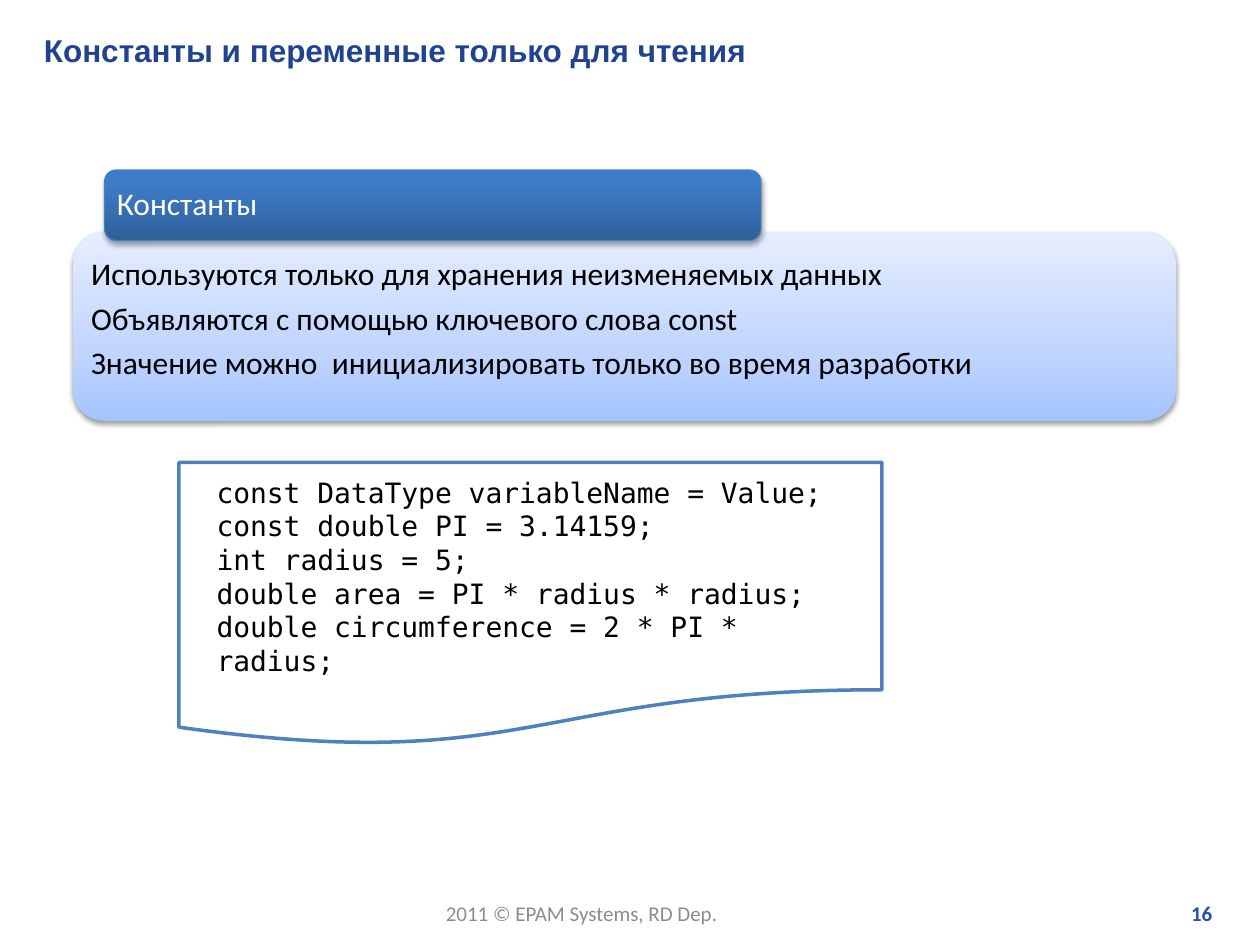
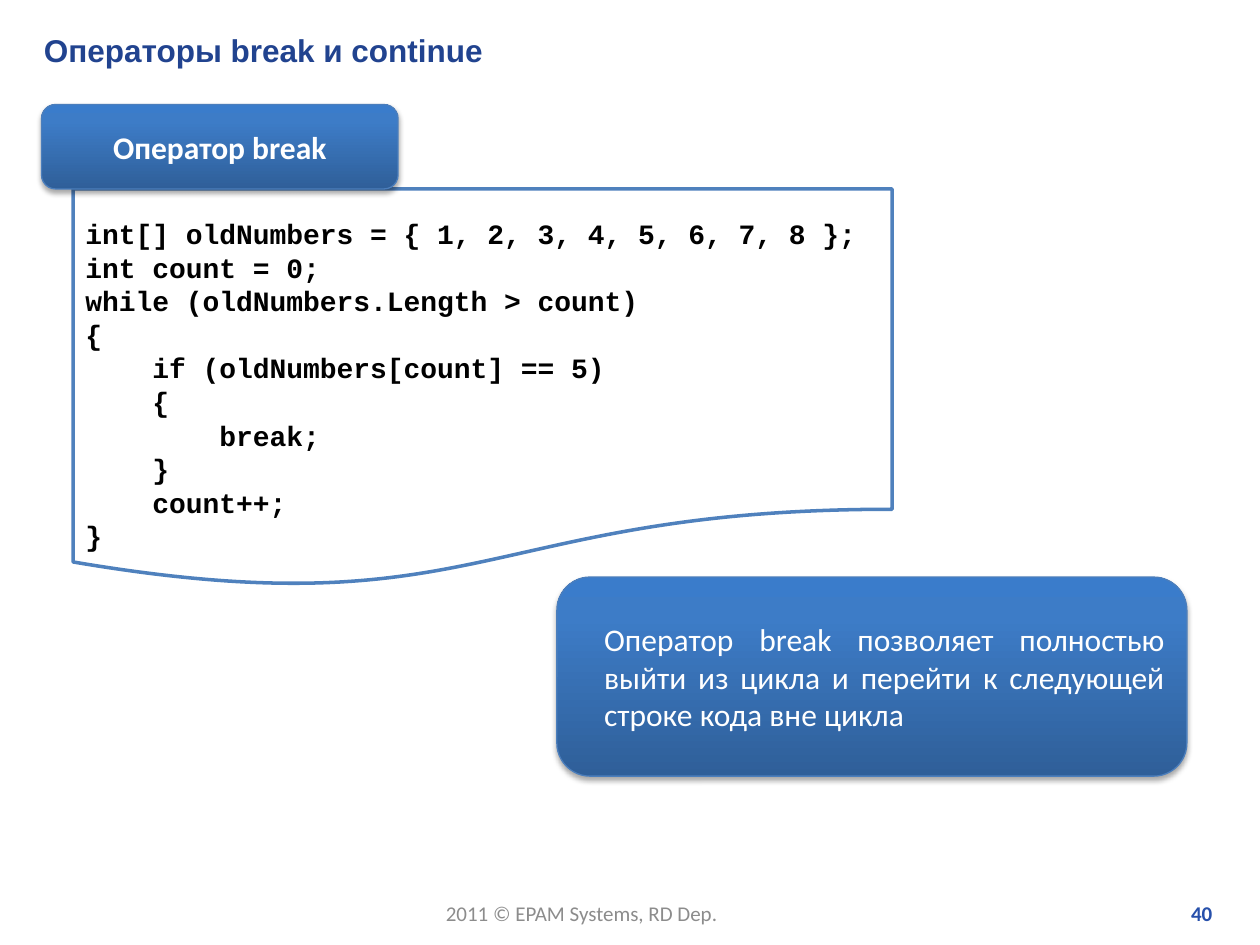
"""Build two lecture slides on constants and on the break operator."""
import copy

import lxml.etree
import pptx
import pptx.dml.color
import pptx.enum.shapes
import pptx.enum.text
import pptx.oxml.ns
import pptx.util

Inches = pptx.util.Inches
Pt = pptx.util.Pt
RGB = pptx.dml.color.RGBColor.from_string
Align = pptx.enum.text.PP_ALIGN
Anchor = pptx.enum.text.MSO_ANCHOR
Shape = pptx.enum.shapes.MSO_SHAPE
qn = pptx.oxml.ns.qn

COLOURS = {
    "title": "21438F",
    "footer": "8C8C8C",
    "number": "2750AB",
    "text": "000000",
    "white": "FFFFFF",
    "code_edge": "4F81BD",
    "glossy_edge": "4B7EBC",
    "shadow": "000000",
}
BLUE = [(0, "2F5F99"), (0.8, "3D7CC7"), (1, "3A7CCB")]
PALE = [(0, "A4C4FF"), (0.35, "BFD4FF"), (1, "E6EEFF")]


def write(box, lines, font, size, colour, bold=False, align=Align.LEFT,
          anchor=Anchor.MIDDLE, indent=0, spacing=None, after=0):
    frame = box.text_frame
    frame.word_wrap = True
    frame.vertical_anchor = anchor
    frame.text = "\n".join(lines)
    for paragraph in frame.paragraphs:
        if indent:
            properties = paragraph._p.get_or_add_pPr()
            properties.set("marL", str(Inches(indent)))
            properties.set("indent", "0")
        paragraph.alignment = align
        paragraph.line_spacing = spacing
        paragraph.space_after = Pt(after)
        paragraph.font.name = font
        paragraph.font.size = Pt(size)
        paragraph.font.bold = bold
        paragraph.font.color.rgb = RGB(COLOURS[colour])
    return frame


def add_glossy(slide, place, stops, edge, opacity, distance):
    panel = slide.shapes.add_shape(Shape.ROUNDED_RECTANGLE, *map(Inches, place))
    panel.fill.gradient()
    panel.fill.gradient_angle = 90
    properties = panel._element.spPr
    stop_list = properties.find(".//" + qn("a:gsLst"))
    stop_list.append(copy.deepcopy(stop_list[-1]))
    for stop, (position, colour) in zip(panel.fill.gradient_stops, stops):
        stop.position = position
        stop.color.rgb = RGB(colour)
    if edge:
        panel.line.color.rgb = RGB(COLOURS[edge])
        panel.line.width = Pt(0.75)
    else:
        panel.line.fill.background()
    panel.shadow.inherit = False
    shadow = lxml.etree.SubElement(
        properties.find(qn("a:effectLst")), qn("a:outerShdw"),
        blurRad=str(Pt(3.1)), dist=str(Pt(distance)), dir="5400000", rotWithShape="0")
    tint = lxml.etree.SubElement(shadow, qn("a:srgbClr"), val=COLOURS["shadow"])
    lxml.etree.SubElement(tint, qn("a:alpha"), val=str(opacity * 1000))
    return panel


deck = pptx.Presentation()
deck.slide_width = Inches(10)
deck.slide_height = Inches(7.5)

pages = [
    {
        "title": "Константы и переменные только для чтения",
        "number": "16",
        "place": (1.42, 3.67, 5.58, 2.25),
        "code": [
            "const DataType variableName = Value;",
            "const double PI = 3.14159;",
            "int radius = 5;",
            "double area = PI * radius * radius;",
            "double circumference = 2 * PI * radius;",
        ],
        "style": {"font": "DejaVu Sans Mono", "indent": 0.2},
        "top": 0.05,
    },
    {
        "title": "Операторы break и continue",
        "number": "40",
        "place": (0.58, 1.5, 6.5, 3.17),
        "code": [
            "int[] oldNumbers = { 1, 2, 3, 4, 5, 6, 7, 8 };",
            "int count = 0;",
            "while (oldNumbers.Length > count)",
            "{",
            "    if (oldNumbers[count] == 5)",
            "    {",
            "        break;",
            "    }",
            "    count++;",
            "}",
        ],
        "style": {"font": "Courier New", "bold": True, "anchor": Anchor.TOP},
        "top": 0.22,
    },
]

slides = []
for page in pages:
    slide = deck.slides.add_slide(deck.slide_layouts[6])
    slides.append(slide)

    footer = slide.shapes.add_textbox(Inches(3.44), Inches(7.1), Inches(2.39), Inches(0.3))
    write(footer, ["2011 © EPAM Systems, RD Dep."], "Calibri", 12, "footer",
          anchor=Anchor.TOP).word_wrap = False

    number = slide.shapes.add_textbox(Inches(7.6), Inches(7.1), Inches(2.12), Inches(0.3))
    write(number, [page["number"]], "Calibri", 12, "number", bold=True,
          align=Align.RIGHT, anchor=Anchor.TOP)

    title = slide.shapes.add_textbox(Inches(0.25), Inches(0.2), Inches(9.54), Inches(0.4))
    write(title, [page["title"]], "Arial", 18, "title", bold=True)

    code = slide.shapes.add_shape(Shape.FLOWCHART_DOCUMENT, *map(Inches, page["place"]))
    code.shadow.inherit = False
    code.fill.solid()
    code.fill.fore_color.rgb = RGB(COLOURS["white"])
    code.line.color.rgb = RGB(COLOURS["code_edge"])
    code.line.width = Pt(2)
    write(code, page["code"], size=16, colour="text",
          **page["style"]).margin_top = Inches(page["top"])

constants_slide, break_slide = slides

facts = add_glossy(constants_slide, (0.58, 1.84, 8.75, 1.5), PALE, None, 38, 1.6)
facts_frame = write(facts, [
    "Используются только для хранения неизменяемых данных",
    "Объявляются с помощью ключевого слова const",
    "Значение можно  инициализировать только во время разработки",
], "Calibri", 18, "text", align=Align.JUSTIFY, spacing=0.9, after=6)
facts_frame.margin_left = facts_frame.margin_right = Inches(0.07)
facts_frame.margin_bottom = Inches(0.15)

heading = add_glossy(constants_slide, (0.83, 1.35, 5.21, 0.56), BLUE, "glossy_edge", 35, 1.8)
write(heading, ["Константы"], "Calibri", 18, "white", align=Align.JUSTIFY,
      spacing=0.9).margin_left = Inches(0.07)

operator = add_glossy(break_slide, (0.33, 0.83, 2.83, 0.67), BLUE, "glossy_edge", 35, 1.8)
write(operator, ["Оператор break"], "Calibri", 18, "white", bold=True, align=Align.CENTER)

explanation = add_glossy(break_slide, (4.42, 4.58, 5, 1.58), BLUE, "glossy_edge", 35, 1.8)
write(explanation, [
    "Оператор break позволяет полностью выйти из цикла "
    "и перейти к следующей строке кода вне цикла",
], "Calibri", 18, "white", align=Align.JUSTIFY, indent=0.2)

deck.save("out.pptx")
